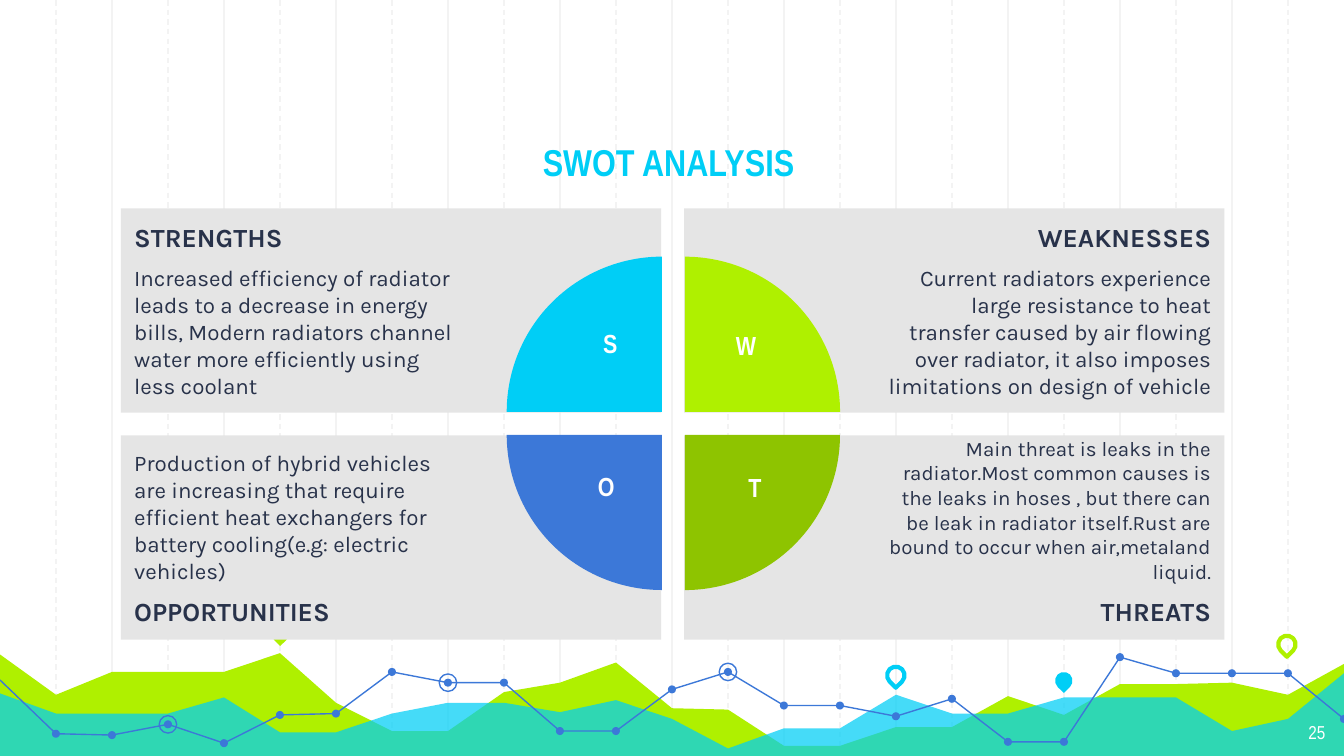
"""Build the SWOT analysis slide with its chart-like landscape background."""
from dataclasses import dataclass

from lxml import etree
from pptx import Presentation
from pptx import util as u
from pptx.dml.color import RGBColor
from pptx.enum import dml, shapes, text
from pptx.oxml import ns


@dataclass(frozen=True)
class Theme:
    cyan: RGBColor = RGBColor.from_string("00CEF6")
    lime: RGBColor = RGBColor.from_string("AFF000")
    green: RGBColor = RGBColor.from_string("8EC400")
    blue: RGBColor = RGBColor.from_string("3C78D8")
    panel: RGBColor = RGBColor.from_string("E5E5E5")
    grid: RGBColor = RGBColor.from_string("F3F3F3")
    ink: RGBColor = RGBColor.from_string("28324A")
    white: RGBColor = RGBColor.from_string("FFFFFF")
    display_font: str = "Arial Narrow"
    body_font: str = "Karla"
    title_size: int = 20
    heading_size: int = 14
    body_size: int = 12
    dense_size: int = 11
    number_size: int = 10
    thin: float = 0.75
    thick: float = 2.25


@dataclass(frozen=True)
class Quadrant:
    heading: str
    body: str
    right: bool
    bottom: bool
    color: RGBColor
    rotation: int
    letter_box: tuple[float, float, float, float]
    body_size: int


@dataclass(frozen=True)
class Pin:
    left: float
    top: float
    color: RGBColor
    solid: bool


THEME = Theme()
COLUMN = 10 / 24
FLOOR = 5.65
DOT, RING, PIN = 0.06, 0.13, 0.13
PIE = 2.31
LIME_HILLS = [4.87, 5.17, 5, 5, 5, 4.86, 5.23, 5.44, 5.44, 5.15, 5.08, 4.93, 5.27,
              5.28, 5.55, 5.55, 5.41, 5.41, 5.18, 5.32, 5.09, 5.09, 5.08, 5.17, 4.94]
CYAN_HILLS = [5.16, 5.31, 5.31, 5.31, 5.19, 5.45, 5.45, 5.31, 5.23, 5.23, 5.3, 5.21, 5.35,
              5.57, 5.42, 5.42, 5.17, 5.31, 5.31, 5.19, 5.19, 5.19, 5.44, 5.35, 5.01]
TREND = [5.06, 5.46, 5.47, 5.39, 5.53, 5.32, 5.31, 5, 5.08, 5.08, 5.44, 5.44, 5.13,
         5, 5.25, 5.25, 5.33, 5.2, 5.52, 5.52, 4.89, 5.01, 5.01, 5.01, 5.35]
TREND_SECTIONS = [(0, 11), (11, 20), (20, 24)]
RINGED_COLUMNS = [8, 3, 13]
PINS = [
    Pin(2.02, 4.65, THEME.lime, True),
    Pin(6.6, 4.96, THEME.cyan, False),
    Pin(7.85, 5, THEME.cyan, True),
    Pin(9.51, 4.73, THEME.lime, False),
]
QUADRANTS = [
    Quadrant("STRENGTHS", "Increased efficiency of radiator leads to a decrease in energy bills, "
             "Modern radiators channel water more efficiently using less coolant",
             False, False, THEME.cyan, 0, (4.39, 2.39, 0.26, 0.49), THEME.body_size),
    Quadrant("WEAKNESSES", "Current radiators experience large resistance to heat transfer caused by "
             "air flowing over radiator, it also imposes limitations on design of vehicle",
             True, False, THEME.lime, 90, (5.36, 2.4, 0.38, 0.48), THEME.body_size),
    Quadrant("OPPORTUNITIES", "Production of hybrid vehicles are increasing that require efficient "
             "heat exchangers for battery cooling(e.g: electric vehicles)",
             False, True, THEME.blue, 270, (4.35, 3.45, 0.29, 0.49), THEME.body_size),
    Quadrant("THREATS", "Main threat is leaks in the radiator.Most common causes is the leaks in "
             "hoses , but there can be leak in radiator itself.Rust are bound to occur when "
             "air,metaland liquid.",
             True, True, THEME.green, 180, (5.47, 3.46, 0.25, 0.48), THEME.dense_size),
]


def length(inches: float) -> u.Length:
    return u.Cm(inches * 2.54)


def paint(shape, fill: RGBColor | None = None, line: RGBColor | None = None,
          width: float = THEME.thin) -> None:
    shape.shadow.inherit = False
    if fill is None:
        shape.fill.background()
    else:
        shape.fill.solid()
        shape.fill.fore_color.rgb = fill
    if line is None:
        shape.line.fill.background()
    else:
        shape.line.color.rgb = line
        shape.line.width = u.Pt(width)


def add_preset(slide, kind, left: float, top: float, width: float, height: float):
    return slide.shapes.add_shape(kind, *map(length, (left, top, width, height)))


def add_outline(slide, points: list[tuple[float, float]], close: bool):
    start, *rest = [(length(x), length(y)) for x, y in points]
    builder = slide.shapes.build_freeform(*start)
    builder.add_line_segments(rest, close=close)
    return builder.convert_to_shape()


def set_font(paragraph, name: str, size: int, color: RGBColor, bold: bool) -> None:
    paragraph.font.name = name
    paragraph.font.size = u.Pt(size)
    paragraph.font.color.rgb = color
    paragraph.font.bold = bold


def set_margins(frame, left: float, top: float, right: float, bottom: float) -> None:
    frame.margin_left, frame.margin_top = length(left), length(top)
    frame.margin_right, frame.margin_bottom = length(right), length(bottom)


def add_label(slide, words: str, box: tuple[float, float, float, float], size: int,
              color: RGBColor, bold: bool = True, align=text.PP_ALIGN.CENTER,
              anchor=text.MSO_ANCHOR.TOP, margin: float = 0.1) -> None:
    frame = slide.shapes.add_textbox(*map(length, box)).text_frame
    frame.word_wrap = True
    frame.vertical_anchor = anchor
    set_margins(frame, 0.1, margin, 0.1, margin)
    paragraph = frame.paragraphs[0]
    paragraph.text = words
    paragraph.alignment = align
    set_font(paragraph, THEME.display_font, size, color, bold)


def add_grid(slide) -> None:
    for column in range(1, 24):
        x = length(column * COLUMN)
        line = slide.shapes.add_connector(shapes.MSO_CONNECTOR.STRAIGHT, x, 0, x, length(FLOOR))
        line.line.color.rgb = THEME.grid
        line.line.width = u.Pt(THEME.thin)
        if column % 2:
            line.line.dash_style = dml.MSO_LINE.DASH
        etree.SubElement(line._element.spPr, ns.qn("a:effectLst"))


def add_hills(slide, heights: list[float], color: RGBColor, opacity: int = 100) -> None:
    ridge = [(column * COLUMN, y) for column, y in enumerate(heights)]
    hills = add_outline(slide, ridge + [(10.02, FLOOR), (-0.03, FLOOR)], True)
    paint(hills, color)
    if opacity < 100:
        fill_color = hills._element.spPr.find(f"{ns.qn('a:solidFill')}/{ns.qn('a:srgbClr')}")
        etree.SubElement(fill_color, ns.qn("a:alpha"), val=str(opacity * 1000))


def add_circle(slide, center: tuple[float, float], size: float, **colors) -> None:
    x, y = center
    circle = add_preset(slide, shapes.MSO_SHAPE.OVAL, x - size / 2, y - size / 2, size, size)
    paint(circle, **colors)


def add_trend(slide) -> None:
    points = [(column * COLUMN, y) for column, y in enumerate(TREND)]
    for first, last in TREND_SECTIONS:
        paint(add_outline(slide, points[first:last + 1], False), line=THEME.blue)
    for point in points[1:]:
        add_circle(slide, point, DOT, fill=THEME.blue)
    for column in RINGED_COLUMNS:
        add_circle(slide, points[column], RING, line=THEME.blue)


def add_pin(slide, pin: Pin) -> None:
    shape = add_preset(slide, shapes.MSO_SHAPE.TEAR, pin.left, pin.top, PIN, PIN)
    shape.rotation = 135
    if pin.solid:
        paint(shape, pin.color)
    else:
        paint(shape, line=pin.color, width=THEME.thick)


def add_panel(slide, quadrant: Quadrant) -> None:
    panel = add_preset(slide, shapes.MSO_SHAPE.RECTANGLE, 5.09 if quadrant.right else 0.9,
                       3.24 if quadrant.bottom else 1.55, 4.02, 1.52)
    paint(panel, THEME.panel)
    frame = panel.text_frame
    frame.word_wrap = True
    frame.vertical_anchor = text.MSO_ANCHOR.BOTTOM if quadrant.bottom else text.MSO_ANCHOR.TOP
    set_margins(frame, *((1.5, 0.1, 0.1, 0.1) if quadrant.right else (0.1, 0.1, 1.5, 0.1)))
    entries = [(quadrant.heading, THEME.heading_size, True),
               (quadrant.body, quadrant.body_size, False)]
    if quadrant.bottom:
        entries.reverse()
    for paragraph, (words, size, bold) in zip((frame.paragraphs[0], frame.add_paragraph()), entries):
        paragraph.text = words
        paragraph.alignment = text.PP_ALIGN.RIGHT if quadrant.right else text.PP_ALIGN.LEFT
        set_font(paragraph, THEME.body_font, size, THEME.ink, bold)
    frame.paragraphs[1].space_before = frame.paragraphs[1].space_after = u.Pt(6)


def add_pie(slide, quadrant: Quadrant) -> None:
    pie = add_preset(slide, shapes.MSO_SHAPE.PIE, 3.94 if quadrant.right else 3.77,
                     2.08 if quadrant.bottom else 1.91, PIE, PIE)
    pie.adjustments[0], pie.adjustments[1] = 108, 162
    pie.rotation = quadrant.rotation
    paint(pie, quadrant.color)


def main() -> None:
    presentation = Presentation()
    presentation.slide_width, presentation.slide_height = length(10), length(5.625)
    slide = presentation.slides.add_slide(presentation.slide_layouts[6])
    add_grid(slide)
    add_hills(slide, LIME_HILLS, THEME.lime)
    add_hills(slide, CYAN_HILLS, THEME.cyan, 73)
    add_trend(slide)
    for pin in PINS:
        add_pin(slide, pin)
    add_label(slide, "SWOT ANALYSIS", (1.15, 0.69, 7.65, 0.78), THEME.title_size, THEME.cyan,
              anchor=text.MSO_ANCHOR.BOTTOM)
    add_label(slide, "25", (9.36, 5.28, 0.6, 0.35), THEME.number_size, THEME.white,
              bold=False, align=text.PP_ALIGN.RIGHT)
    for draw in (add_panel, add_pie):
        for quadrant in QUADRANTS:
            draw(slide, quadrant)
    for quadrant in QUADRANTS:
        add_label(slide, quadrant.heading[0], quadrant.letter_box, THEME.heading_size,
                  THEME.white, margin=0.05)
    presentation.save("out.pptx")


if __name__ == "__main__":
    main()
